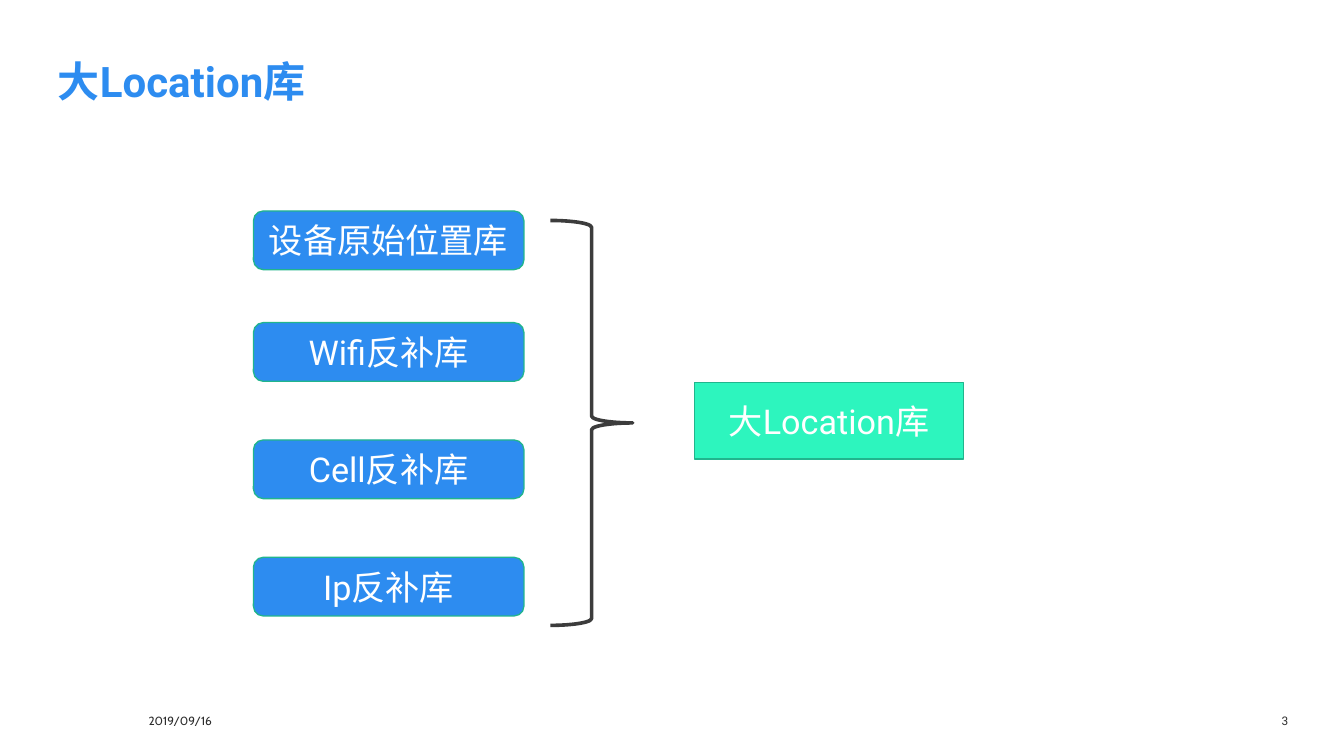
from pptx import Presentation
from pptx.dml.color import RGBColor
from pptx.enum.shapes import MSO_SHAPE
from pptx.enum.text import MSO_ANCHOR, PP_ALIGN
from pptx.util import Inches, Pt

LEFT, CENTER, RIGHT = PP_ALIGN.LEFT, PP_ALIGN.CENTER, PP_ALIGN.RIGHT
TOP, MIDDLE, BOTTOM = MSO_ANCHOR.TOP, MSO_ANCHOR.MIDDLE, MSO_ANCHOR.BOTTOM
ROUNDED, RECTANGLE, BRACE = (MSO_SHAPE.ROUNDED_RECTANGLE, MSO_SHAPE.RECTANGLE,
                             MSO_SHAPE.RIGHT_BRACE)

BLUE, MINT, GREEN = "2D8CF0", "2DF5BE", "21B58D"
WHITE, INK, GREY = "FFFFFF", "2D2D2D", "3C3C3C"

# text, (left, top, width, height), font, alignment, anchor, line spacing
LABELS = [
    ("大Location库", (0.61, 0.59, 12.99, 0.99),
     dict(name="Roboto", size=Pt(32), bold=True), BLUE, LEFT, TOP, Pt(38)),
    ("2019/09/16", (1.57, 7.54, 0.85, 0.15),
     dict(name="Cabin", size=Pt(9)), INK, LEFT, BOTTOM, None),
    ("3", (12.96, 7.54, 0.66, 0.15),
     dict(name="Roboto", size=Pt(9)), INK, RIGHT, BOTTOM, None),
]
SOURCES = [("设备原始位置库", 2.23), ("Wifi反补库", 3.41),
           ("Cell反补库", 4.65), ("Ip反补库", 5.89)]
SOURCE_LEFT, SOURCE_WIDTH, SOURCE_HEIGHT = 2.68, 2.86, 0.62
BRACE_AREA = (5.82, 2.33, 0.87, 4.28)
RESULT, RESULT_AREA = "大Location库", (7.34, 4.04, 2.85, 0.81)
BOX_FONT = dict(name="Roboto", size=Pt(26))


def color(value):
    return RGBColor.from_string(value)


def write(box, text, font, ink, align, anchor, spacing=None):
    frame = box.text_frame
    frame.word_wrap = True
    frame.vertical_anchor = anchor
    para = frame.paragraphs[0]
    para.alignment = align
    para.line_spacing = spacing
    span = para.add_run()
    span.text = text
    for key, value in font.items():
        setattr(span.font, key, value)
    span.font.color.rgb = color(ink)


def add_label(page, text, area, *style):
    box = page.shapes.add_textbox(*map(Inches, area))
    for side in ("left", "top", "right", "bottom"):
        setattr(box.text_frame, "margin_" + side, 0)
    write(box, text, *style)


def add_outlined(page, kind, area, line, weight, fill=None):
    """Add a preset shape without shadow, unfilled when no fill is given."""
    shape = page.shapes.add_shape(kind, *map(Inches, area))
    shape.shadow.inherit = False
    if fill:
        shape.fill.solid()
        shape.fill.fore_color.rgb = color(fill)
    else:
        shape.fill.background()
    shape.line.color.rgb = color(line)
    shape.line.width = Pt(weight)
    return shape


def add_store(page, kind, text, area, fill):
    box = add_outlined(page, kind, area, GREEN, 1, fill)
    write(box, text, BOX_FONT, WHITE, CENTER, MIDDLE)


def main():
    deck = Presentation()
    deck.slide_width, deck.slide_height = Inches(14.21), Inches(7.99)
    page = deck.slides.add_slide(deck.slide_layouts[6])
    for label in LABELS:
        add_label(page, *label)
    for text, top in SOURCES:
        area = (SOURCE_LEFT, top, SOURCE_WIDTH, SOURCE_HEIGHT)
        add_store(page, ROUNDED, text, area, BLUE)
    add_outlined(page, BRACE, BRACE_AREA, GREY, 2.75)
    add_store(page, RECTANGLE, RESULT, RESULT_AREA, MINT)
    deck.save("out.pptx")


if __name__ == "__main__":
    main()
